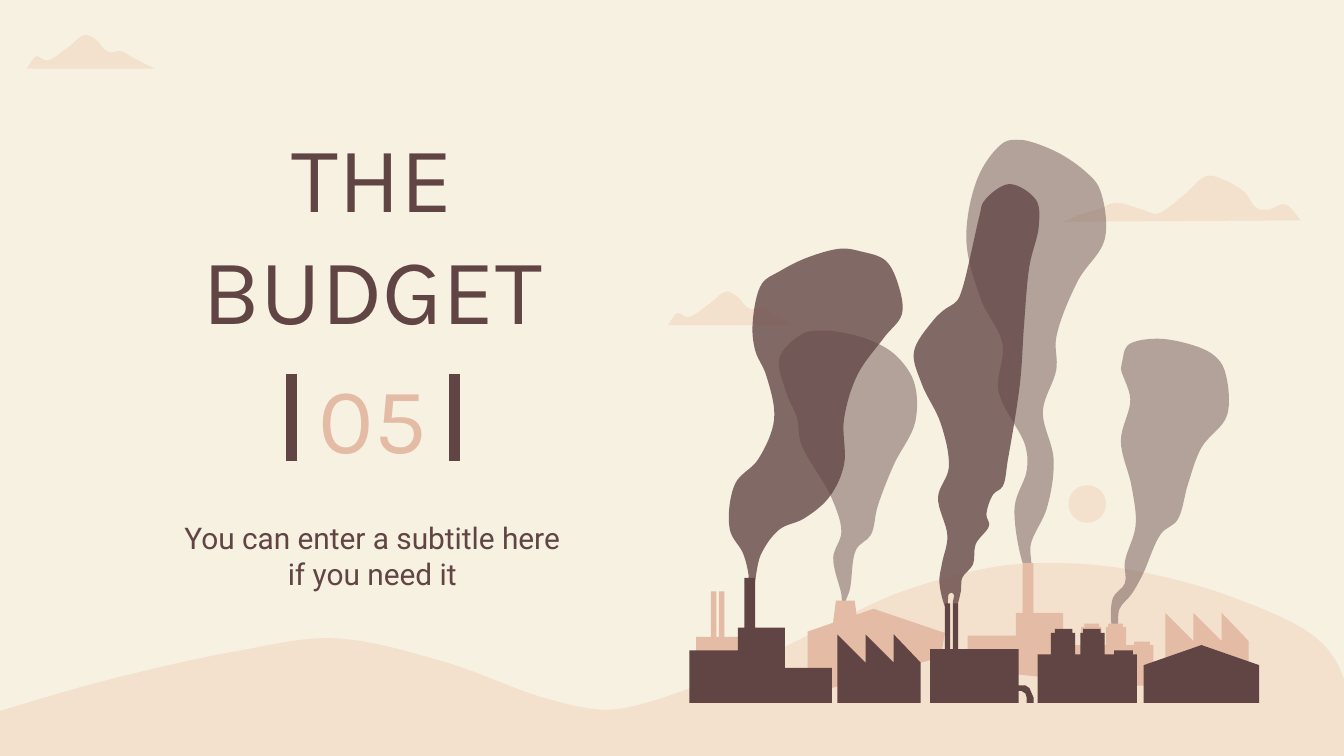
from dataclasses import dataclass

from lxml import etree
from pptx import Presentation
from pptx import util as u
from pptx.dml.color import RGBColor
from pptx.enum import shapes, text
from pptx.oxml.ns import qn

PX = 9144  # EMU per px: 100 px to the inch


@dataclass(frozen=True)
class Theme:
    paper: str = "F6F1E1"
    haze: str = "F3E1CE"
    clay: str = "E4BBA5"
    umber: str = "614444"
    head_font: str = "Karla"
    body_font: str = "Roboto"
    head_size: int = 50
    body_size: int = 16
    bar_width: int = 6
    light_smoke: int = 45
    dense_smoke: int = 78


T = Theme()


# ---- Drawing helpers ----
def paint(sp, color, alpha=100):
    sp.shadow.inherit = False
    sp.fill.solid()
    sp.fill.fore_color.rgb = RGBColor.from_string(color)
    sp.line.fill.background()
    if alpha < 100:
        clr = sp.fill._xPr.find(qn("a:solidFill"))[0]
        etree.SubElement(clr, qn("a:alpha"), val=str(alpha * 1000))


def handles(pts, closed):
    """Bezier handles of a centripetal Catmull-Rom curve, one pair a segment."""
    z = [complex(*p) for p in pts]
    if closed:
        z = [z[-1], *z, z[0], z[1]]
    else:
        z = [2 * z[0] - z[1], *z, 2 * z[-1] - z[-2]]
    for a, b, c, d in zip(z, z[1:], z[2:], z[3:]):
        ab, bc, cd = (abs(q - p) ** 0.5 for p, q in ((a, b), (b, c), (c, d)))
        m = ((b - a) / ab - (c - a) / (ab + bc) + (c - b) / bc) * bc
        n = ((c - b) / bc - (d - b) / (bc + cd) + (d - c) / cd) * bc
        yield b + m / 3, c - n / 3


def outline(s, x, y, pts, color, alpha=100, scale=1.0):
    emu = [(round((x + px * scale) * PX), round((y + py * scale) * PX)) for px, py in pts]
    fb = s.shapes.build_freeform(*emu[0])
    fb.add_line_segments(emu[1:], close=True)
    sp = fb.convert_to_shape()
    paint(sp, color, alpha)
    return sp


def curve(s, x, y, pts, color, alpha=100, closed=True, tail=()):
    """Curved outline; an open curve is closed by straight lines through tail."""
    sp = outline(s, x, y, [*pts, *tail] + [pts[0]] * closed, color, alpha)
    lines = list(sp._element.iter(qn("a:lnTo")))
    for line, pair in zip(lines, handles(pts, closed)):
        line.tag = qn("a:cubicBezTo")
        for i, h in enumerate(pair):
            pt = etree.Element(qn("a:pt"), x=str(round((x + h.real) * PX) - sp.left),
                               y=str(round((y + h.imag) * PX) - sp.top))
            line.insert(i, pt)


def write(sp, words, font, size, color, anchor):
    tf = sp.text_frame
    tf.word_wrap = True
    tf.auto_size = text.MSO_AUTO_SIZE.NONE
    tf.vertical_anchor = anchor
    tf.margin_left = tf.margin_right = tf.margin_top = tf.margin_bottom = 10 * PX
    p = tf.paragraphs[0]
    p.alignment = text.PP_ALIGN.CENTER
    r = p.add_run()
    r.text = words
    r.font.name, r.font.size = font, u.Pt(size)
    r.font.color.rgb = RGBColor.from_string(color)


# ---- Background ----
def small_cloud(s, x, y):
    top = [(1, 25), (8, 16), (16, 19), (32, 9), (44, 0), (53, 4), (59, 11),
           (63, 13), (71, 12), (80, 17), (96, 25)]
    curve(s, x, y, top, T.haze, closed=False)


def big_cloud(s, x, y):
    top = [(0, 34), (15, 28), (26, 25), (39, 20), (59, 25), (70, 28), (89, 15),
           (107, 0), (120, 3), (135, 12), (144, 24), (153, 25), (165, 21), (177, 33)]
    curve(s, x, y, top, T.haze, closed=False)


def landscape(s, x, y):
    big_cloud(s, x + 791, y + 131)
    ridge = [(-17, 534), (80, 506), (179, 484), (249, 475), (329, 492), (404, 519),
             (447, 528), (473, 525), (542, 501), (605, 471), (669, 441), (739, 422),
             (783, 419), (835, 423), (916, 444), (982, 477), (1001, 509),
             (1002, 558), (984, 622)]
    curve(s, x, y, ridge, T.haze, closed=False, tail=[(486, 646), (10, 639)])
    sun = s.shapes.add_shape(shapes.MSO_SHAPE.OVAL, (x + 795) * PX, (y + 361) * PX,
                             28 * PX, 28 * PX)
    paint(sun, T.haze)
    small_cloud(s, x + 496, y + 217)
    small_cloud(s, x + 19, y + 26)


# ---- Heading ----
def heading(s, x, y):
    for bx in (x + 132, x + 253):  # bars beside the number
        cn = s.shapes.add_connector(shapes.MSO_CONNECTOR.STRAIGHT, bx * PX,
                                    (y + 199) * PX, bx * PX, (y + 264) * PX)
        cn.line.color.rgb = RGBColor.from_string(T.umber)
        cn.line.width = u.Pt(T.bar_width)
        etree.SubElement(cn._element.spPr, qn("a:effectLst"))

    title = s.shapes.title
    title.left, title.top, title.width, title.height = (
        v * PX for v in (x, y, 384, 177))
    write(title, "THE BUDGET", T.head_font, T.head_size, T.umber, text.MSO_ANCHOR.TOP)
    number = s.shapes.add_textbox((x + 132) * PX, (y + 177) * PX, 121 * PX, 108 * PX)
    write(number, "05", T.head_font, T.head_size, T.clay, text.MSO_ANCHOR.MIDDLE)
    subtitle = s.shapes.add_textbox((x + 42) * PX, (y + 297) * PX, 300 * PX, 74 * PX)
    write(subtitle, "You can enter a subtitle here if you need it",
          T.body_font, T.body_size, T.umber, text.MSO_ANCHOR.BOTTOM)


# ---- Factory buildings ----
def pipe_plant(s, x, y, color):
    outline(s, x, y, [
        (11, 0), (11, 34), (0, 34), (0, 74), (66, 74), (66, 65), (68, 65), (71, 67),
        (72, 70), (72, 74), (77, 74), (77, 70), (74, 63), (71, 61), (66, 61),
        (66, 34), (21, 34), (21, 0), (17, 0), (17, 34), (15, 34), (15, 0)], color)


def chimney_plant(s, x, y, color, left_base, right_base):
    outline(s, x, y, [
        (41, 0), (41, 37), (36, 37), (36, 54), (0, 54), (0, left_base),
        (106, right_base), (106, 67), (71, 67), (71, 37), (49, 37), (49, 0)], color)


def sawtooth_plant(s, x, y, color):
    outline(s, x, y, [(0, 0), (21, 21), (21, 0), (42, 21), (42, 0), (62, 21),
                      (62, 51), (0, 51)], color)


def tower_plant(s, x, y, color, scale=1.0):
    outline(s, x, y, [
        (13, 0), (13, 3), (10, 3), (10, 19), (0, 19), (0, 55), (74, 55), (74, 19),
        (71, 19), (71, 16), (57, 16), (57, 19), (50, 19), (50, 3), (47, 3), (47, 0),
        (34, 0), (34, 3), (32, 3), (32, 19), (28, 19), (28, 3), (26, 3), (26, 0)],
        color, scale=scale)


def factory(s, x, y):
    tall = [(256, 4), (247, 6), (229, 29), (219, 77), (230, 123), (246, 156),
            (243, 191), (263, 232), (264, 250), (255, 277), (261, 319), (264, 324),
            (267, 322), (267, 305), (279, 278), (284, 242), (276, 206), (286, 175),
            (286, 151), (302, 109), (322, 78), (318, 40), (308, 28), (288, 14), (265, 5)]
    right = [(361, 152), (339, 157), (335, 169), (334, 174), (341, 197), (334, 228),
             (342, 262), (345, 291), (337, 318), (337, 334), (328, 345), (328, 367),
             (331, 367), (333, 353), (342, 342), (350, 328), (364, 297), (376, 287),
             (384, 260), (394, 233), (413, 209), (411, 175), (404, 165), (391, 158)]
    middle = [(111, 146), (98, 148), (80, 166), (85, 192), (93, 211), (96, 230),
              (119, 271), (126, 296), (120, 315), (126, 342), (127, 350), (132, 340),
              (137, 309), (148, 298), (153, 277), (165, 246), (181, 214), (180, 184),
              (166, 164), (147, 153), (124, 147)]
    left = [(126, 85), (100, 92), (80, 102), (67, 111), (60, 141), (62, 161),
            (70, 179), (76, 212), (64, 242), (47, 260), (43, 294), (53, 312),
            (57, 328), (57, 334), (60, 338), (66, 313), (80, 294), (98, 286),
            (117, 270), (128, 246), (128, 212), (138, 179), (158, 151), (171, 134),
            (169, 114), (159, 94), (140, 87)]
    front = [(251, 37), (232, 50), (229, 60), (216, 115), (212, 124), (202, 131),
             (194, 139), (180, 162), (186, 186), (200, 215), (206, 248), (198, 270),
             (205, 299), (201, 319), (199, 333), (203, 351), (205, 354), (206, 342),
             (208, 341), (210, 343), (209, 348), (211, 353), (215, 340), (216, 330),
             (224, 320), (226, 305), (236, 291), (234, 283), (239, 268), (246, 262),
             (250, 242), (259, 185), (262, 142), (266, 98), (273, 68), (271, 49)]

    # Smoke behind the buildings
    for plume in (tall, right, middle):
        curve(s, x, y, plume, T.umber, T.light_smoke)
    curve(s, x, y, left, T.umber, T.dense_smoke)

    # Pale back row
    pipe_plant(s, x + 18, y + 340, T.clay)
    tower_plant(s, x + 296, y + 364, T.clay, scale=0.84)
    outline(s, x + 101, y + 353, [(49, 0), (0, 17), (0, 64), (99, 36), (102, 18)], T.clay)
    sawtooth_plant(s, x + 367, y + 356, T.clay)
    chimney_plant(s, x + 220, y + 319, T.clay, 79, 90)
    outline(s, x + 119, y + 347, [(3, 0), (0, 23), (20, 23), (17, 0)], T.clay)

    # Dark front row
    tower_plant(s, x + 272, y + 368, T.umber)
    outline(s, x + 351, y + 380, [(43, 0), (0, 15), (0, 43), (86, 43), (86, 15)], T.umber)
    sawtooth_plant(s, x + 123, y + 372, T.umber)
    chimney_plant(s, x + 13, y + 330, T.umber, 93, 93)
    curve(s, x, y, front, T.umber, T.dense_smoke)
    pipe_plant(s, x + 192, y + 349, T.umber)


def main():
    prs = Presentation()
    prs.slide_width, prs.slide_height = u.Inches(10), u.Inches(5.625)
    s = prs.slides.add_slide(prs.slide_layouts[5])
    s.background.fill.solid()
    s.background.fill.fore_color.rgb = RGBColor.from_string(T.paper)
    landscape(s, 0, 0)
    heading(s, 85, 79)
    factory(s, 500, 100)
    prs.save("out.pptx")


if __name__ == "__main__":
    main()
